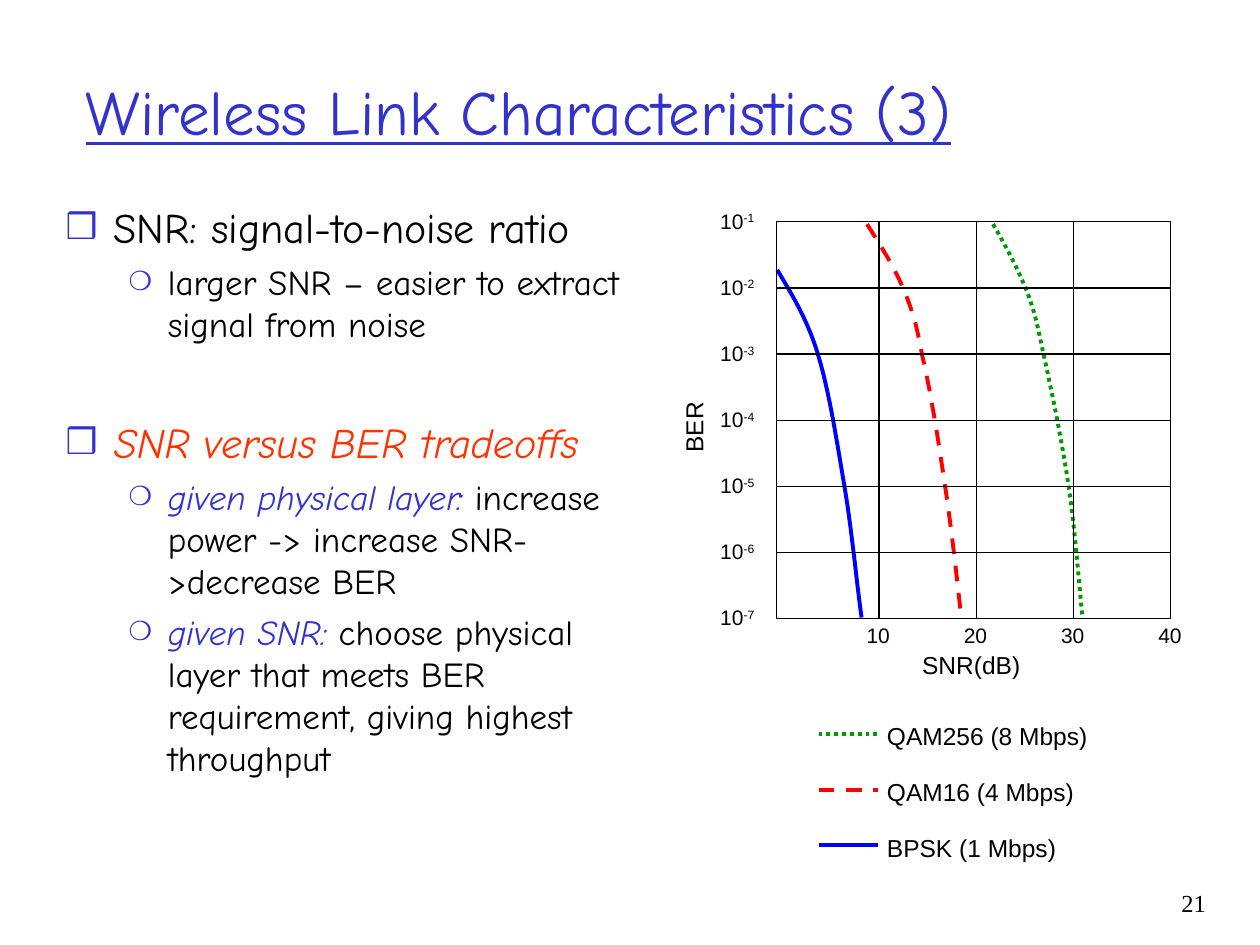
import dataclasses

import lxml.etree
import pptx
import pptx.dml.color
import pptx.enum.dml
import pptx.enum.shapes
import pptx.enum.text
import pptx.oxml.ns
import pptx.util

Cm = pptx.util.Cm
Pt = pptx.util.Pt
Align = pptx.enum.text.PP_ALIGN
Dash = pptx.enum.dml.MSO_LINE


@dataclasses.dataclass(frozen=True)
class Theme:
    black: str = "000000"
    accent: str = "3333CC"
    highlight: str = "FF3300"
    bpsk: str = "0000FF"
    qam16: str = "FF0000"
    qam256: str = "009900"
    heading_font: str = "Comic Neue"
    label_font: str = "Arial"
    number_font: str = "Times New Roman"
    title_size: int = 36
    body_sizes: tuple = (24, 20)
    label_size: int = 14
    tick_size: int = 12
    thin: float = 0.75
    thick: float = 2.25


@dataclasses.dataclass(frozen=True)
class Bullet:
    symbol: str
    percent: int
    margin: float
    hang: float


BULLETS = (Bullet("❒", 85, 0.97, 0.97), Bullet("❍", 75, 2.06, 0.79))


def add_xml(parent, tag, **attributes):
    return lxml.etree.SubElement(parent, pptx.oxml.ns.qn(tag), attributes)


def bezier_points(knots, steps=10):
    """Sample a chain of cubic curves given as start, control, control, end, ..."""
    points = [knots[0]]
    for first in range(0, len(knots) - 1, 3):
        a, b, c, d = knots[first:first + 4]
        for step in range(1, steps + 1):
            t = step / steps
            u = 1 - t
            weights = (u ** 3, 3 * u * u * t, 3 * u * t * t, t ** 3)
            points.append(tuple(sum(w * p[axis] for w, p in zip(weights, (a, b, c, d)))
                                for axis in (0, 1)))
    return points


class SlideWriter:
    def __init__(self, slide, theme):
        self.slide = slide
        self.theme = theme

    def style_span(self, span, size, font, color, italic=False):
        span.font.size = Pt(size)
        span.font.name = font
        span.font.italic = italic
        span.font.color.rgb = pptx.dml.color.RGBColor.from_string(color)

    def style_line(self, line, color, width, dash=None):
        line.color.rgb = pptx.dml.color.RGBColor.from_string(color)
        line.width = Pt(width)
        if dash:
            line.dash_style = dash

    def place(self, box, left, top, width, height):
        box.left, box.top, box.width, box.height = map(Cm, (left, top, width, height))

    def title(self, text, *bounds):
        box = self.slide.shapes.title
        self.place(box, *bounds)
        box.text_frame.text = text
        box.text_frame.auto_size = pptx.enum.text.MSO_AUTO_SIZE.NONE
        box.text_frame.vertical_anchor = pptx.enum.text.MSO_ANCHOR.MIDDLE
        para = box.text_frame.paragraphs[0]
        para.alignment = Align.LEFT
        span = para.runs[0]
        self.style_span(span, self.theme.title_size, self.theme.heading_font, self.theme.accent)
        span.font.underline = True

    def body(self, items, *bounds):
        """Fill the list; each item is level, space before, and (text, colour, italic) spans."""
        box = self.slide.placeholders[1]
        self.place(box, *bounds)
        frame = box.text_frame
        frame.auto_size = pptx.enum.text.MSO_AUTO_SIZE.NONE
        for index, (level, space, spans) in enumerate(items):
            para = frame.add_paragraph() if index else frame.paragraphs[0]
            para.level = level
            para.space_before = Pt(space)
            self.bullet(para, BULLETS[level])
            for text, color, italic in spans:
                span = para.add_run()
                span.text = text
                self.style_span(span, self.theme.body_sizes[level],
                                self.theme.heading_font, color, italic)

    def bullet(self, para, bullet):
        properties = para._p.get_or_add_pPr()
        properties.set("marL", str(Cm(bullet.margin)))
        properties.set("indent", str(-Cm(bullet.hang)))
        add_xml(add_xml(properties, "a:buClr"), "a:srgbClr", val=self.theme.accent)
        add_xml(properties, "a:buSzPct", val=str(bullet.percent * 1000))
        add_xml(properties, "a:buChar", char=bullet.symbol)

    def label(self, text, bounds, size, font=None, raised="", align=Align.LEFT, rotation=0):
        """Add a one-line text box, with an optional superscript after the text."""
        box = self.slide.shapes.add_textbox(*map(Cm, bounds))
        box.rotation = rotation
        frame = box.text_frame
        frame.text = text
        frame.word_wrap = False
        frame.auto_size = pptx.enum.text.MSO_AUTO_SIZE.SHAPE_TO_FIT_TEXT
        para = frame.paragraphs[0]
        para.alignment = align
        if raised:
            exponent = para.add_run()
            exponent.text = raised
            exponent._r.get_or_add_rPr().set("baseline", "30000")
        for span in para.runs:
            self.style_span(span, size, font or self.theme.label_font, self.theme.black)

    def frame(self, *bounds):
        box = self.slide.shapes.add_shape(pptx.enum.shapes.MSO_SHAPE.RECTANGLE, *map(Cm, bounds))
        box.shadow.inherit = False
        box.fill.background()
        self.style_line(box.line, self.theme.black, self.theme.thin)
        return box

    def line(self, x1, y1, x2, y2, color, width, dash=None):
        line = self.slide.shapes.add_connector(
            pptx.enum.shapes.MSO_CONNECTOR.STRAIGHT, *map(Cm, (x1, y1, x2, y2)))
        self.style_line(line.line, color, width, dash)
        add_xml(line._element.spPr, "a:effectLst")
        return line

    def curve(self, knots, color, dash):
        points = [(Cm(x), Cm(y)) for x, y in bezier_points(knots)]
        builder = self.slide.shapes.build_freeform(*points[0])
        builder.add_line_segments(points[1:], close=False)
        shape = builder.convert_to_shape()
        shape.shadow.inherit = False
        shape.fill.background()
        self.style_line(shape.line, color, self.theme.thick, dash)


def draw_plot(writer, series):
    theme = writer.theme
    left, top, width, height = 15.65, 4.47, 7.95, 8.0
    right, bottom = left + width, top + height
    rows, columns, column_gap = 6, 4, 1.96

    for _, color, dash, knots in series:
        writer.curve(knots, color, dash)
    frame = writer.frame(left, top, width, height)

    for row in range(rows + 1):
        y = top + row * height / rows
        if 0 < row < rows:
            line = writer.line(left, y, right, y, theme.black, theme.thin)
            if row * 2 == rows:
                line.begin_connect(frame, 1)
                line.end_connect(frame, 3)
        writer.label("10", (14.27, y - 0.4, 1.19, 0.76), theme.tick_size, raised=f"-{row + 1}")

    for column in range(1, columns + 1):
        x = right - (columns - column) * column_gap
        if column < columns:
            writer.line(x, top, x, bottom, theme.black, theme.thin)
        writer.label(str(column * 10), (x - 0.5, 12.42, 0.97, 0.76), theme.tick_size)

    writer.label("SNR(dB)", (18.34, 12.98, 2.49, 0.86), theme.label_size)
    writer.label("BER", (13.23, 8.18, 1.52, 0.86), theme.label_size, rotation=270)


def draw_legend(writer, series):
    for index, (name, color, dash, _) in enumerate(series):
        y = 14.8 + index * 1.12
        writer.line(16.5, y, 17.7, y, color, writer.theme.thick, dash)
        writer.label(name, (17.63, y - 0.38, 4.8, 0.86), writer.theme.label_size)


def main():
    theme = Theme()
    deck = pptx.Presentation()
    deck.slide_width, deck.slide_height = Cm(25.4), Cm(19.05)
    writer = SlideWriter(deck.slides.add_slide(deck.slide_layouts[1]), theme)

    series = (
        ("QAM256 (8 Mbps)", theme.qam256, Dash.ROUND_DOT, (
            (20.02, 4.52), (20.27, 4.95), (20.5, 5.38), (20.68, 5.82), (20.85, 6.25),
            (20.9, 6.48), (21.03, 7.11), (21.18, 7.77), (21.41, 8.89), (21.54, 9.78),
            (21.67, 10.64), (21.77, 11.96), (21.82, 12.42))),
        ("QAM16 (4 Mbps)", theme.qam16, Dash.DASH, (
            (17.48, 4.52), (17.75, 4.95), (18.03, 5.38), (18.21, 5.82), (18.39, 6.25),
            (18.47, 6.5), (18.59, 7.16), (18.75, 7.82), (18.92, 8.89), (19.05, 9.78),
            (19.18, 10.64), (19.28, 11.56), (19.38, 12.45))),
        ("BPSK (1 Mbps)", theme.bpsk, None, (
            (15.67, 5.44), (15.95, 5.92), (16.26, 6.4), (16.48, 7.11), (16.71, 7.85),
            (16.87, 8.89), (17.02, 9.78), (17.17, 10.64), (17.3, 12.01), (17.37, 12.45))),
    )
    items = (
        (0, 0, [("SNR: signal-to-noise ratio", theme.black, False)]),
        (1, 5, [("larger SNR – easier to extract signal from noise", theme.black, False)]),
        (0, 41, [("SNR versus BER tradeoffs", theme.highlight, True)]),
        (1, 5, [("given physical layer:", theme.accent, True),
                (" increase power -> increase SNR->decrease BER", theme.black, False)]),
        (1, 5, [("given SNR:", theme.accent, True),
                (" choose physical layer that meets BER requirement, giving highest throughput",
                 theme.black, False)]),
    )

    writer.title("Wireless Link Characteristics (3)", 1.47, 0.64, 21.59, 3.18)
    writer.body(items, 1.07, 3.94, 12.29, 12.4)
    draw_plot(writer, series)
    draw_legend(writer, series)
    writer.label("21", (22.68, 17.78, 1.88, 1.27), theme.label_size,
                 font=theme.number_font, align=Align.RIGHT)
    deck.save("out.pptx")


if __name__ == "__main__":
    main()
